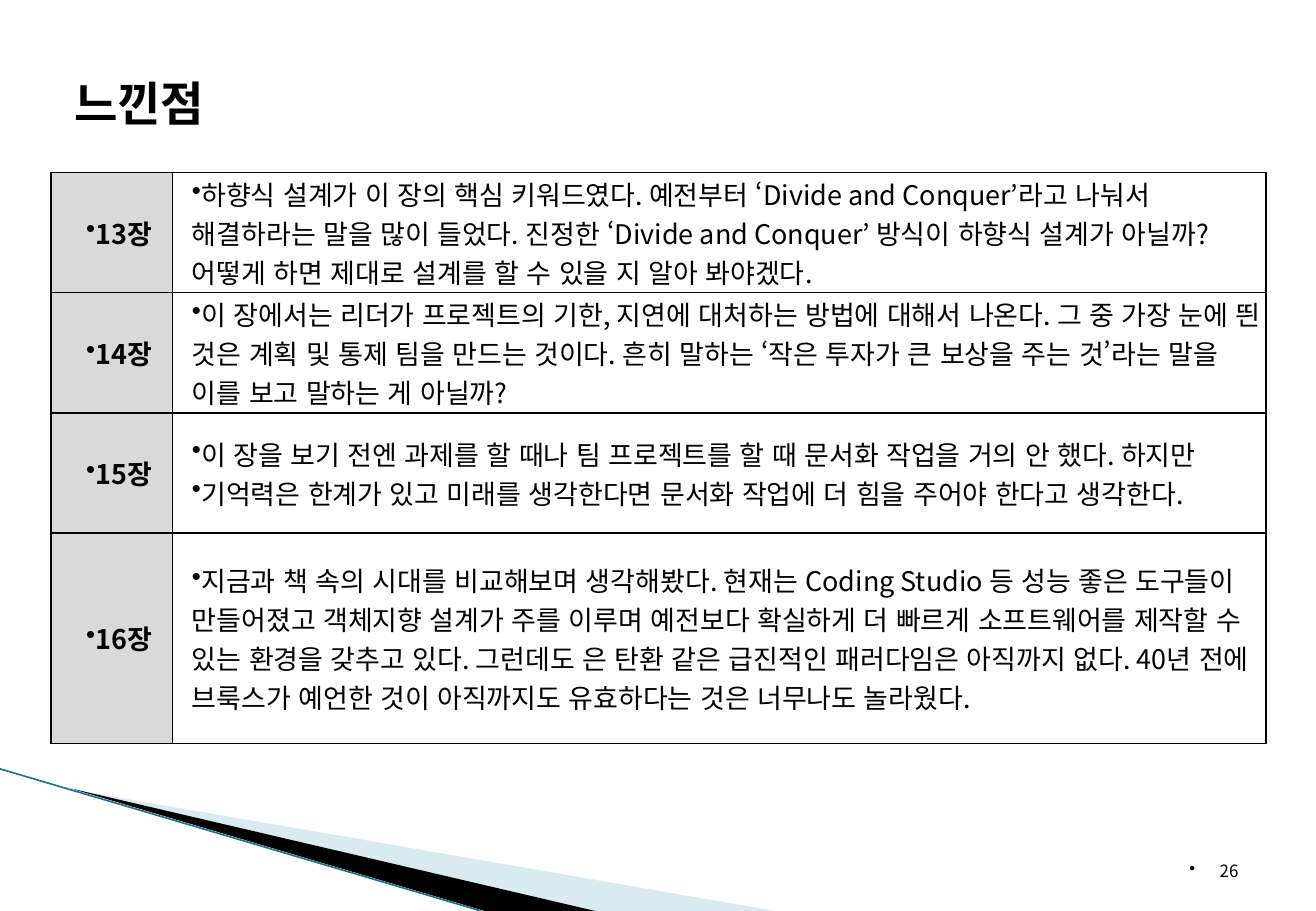
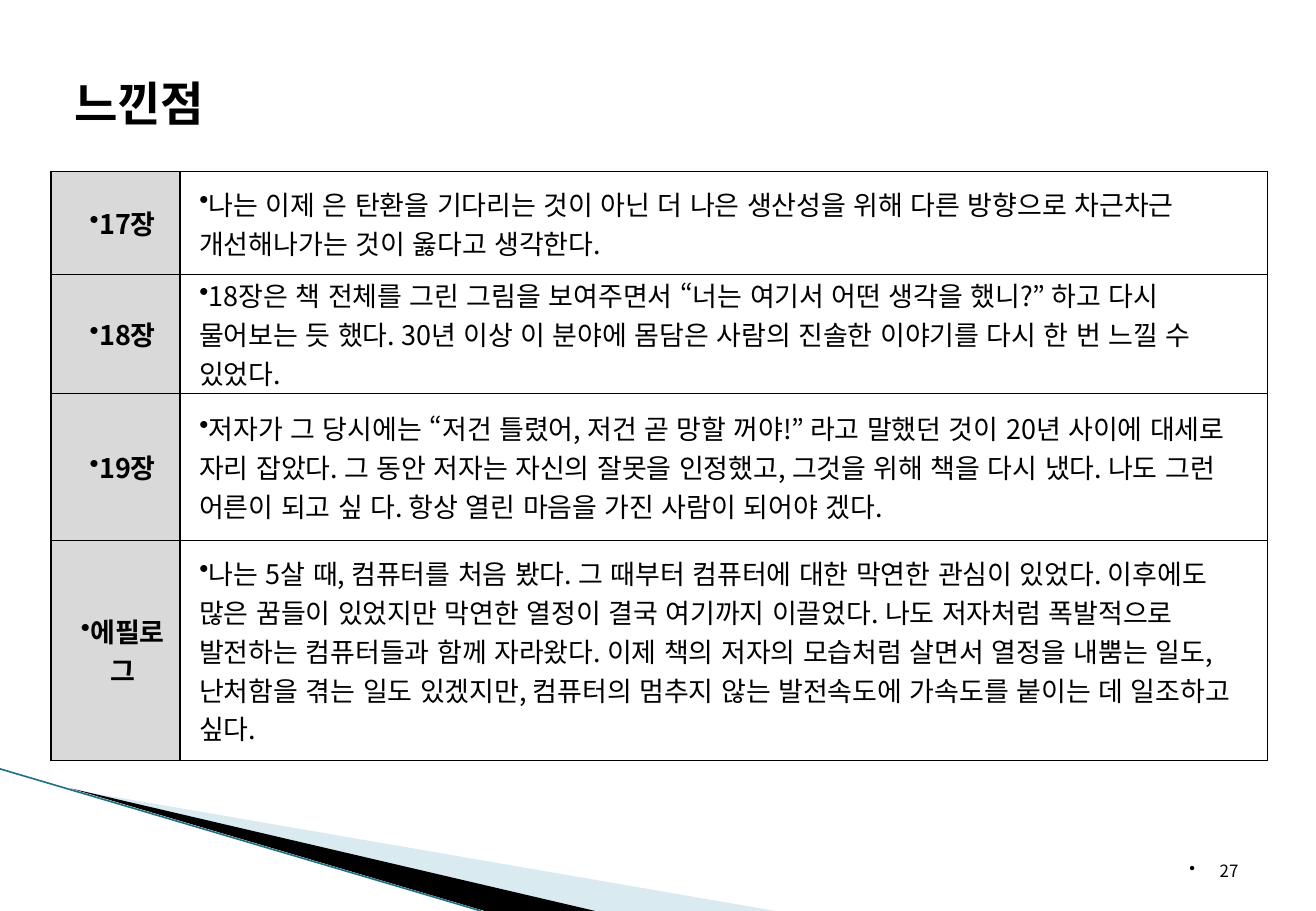
from dataclasses import dataclass

from lxml.etree import SubElement
from pptx import Presentation
from pptx.dml.color import RGBColor
from pptx.enum.lang import MSO_LANGUAGE_ID
from pptx.enum.text import MSO_ANCHOR, PP_ALIGN
from pptx.oxml.ns import qn
from pptx.util import Inches, Pt


@dataclass(frozen=True)
class Theme:
    font: str = "Noto Sans CJK KR"
    ink: RGBColor = RGBColor(0, 0, 0)
    pale: RGBColor = RGBColor(0xA0, 0xCB, 0xDC)
    teal: RGBColor = RGBColor(0x1F, 0x71, 0x88)
    label: RGBColor = RGBColor(0xD9, 0xD9, 0xD9)
    title: int = 28
    body: int = 16
    small: int = 10


theme = Theme()


def write(frame, text, size=theme.body, bold=False, align=PP_ALIGN.LEFT,
          left=0, indent=0, bullet=True):
    """Fill a frame, one paragraph a line; left and indent are inches."""
    frame.text = text
    frame.word_wrap = True
    for para in frame.paragraphs:
        para.alignment = align
        if bullet:
            props = para._p.get_or_add_pPr()
            props.set("marL", str(Inches(left)))
            props.set("indent", str(Inches(indent)))
            SubElement(props, qn("a:buChar")).set("char", "•")
        for run in para.runs:
            font = run.font
            font.size, font.bold = Pt(size), bold
            font.color.rgb = theme.ink
            font.name = theme.font
            font.language_id = MSO_LANGUAGE_ID.KOREAN
            SubElement(font._element, qn("a:ea")).set("typeface", theme.font)


def border(cell):
    props = cell._tc.get_or_add_tcPr()
    for place, side in enumerate(("lnL", "lnR", "lnT", "lnB")):
        line = SubElement(props, qn(f"a:{side}"), w=str(Pt(1)))
        fill = SubElement(line, qn("a:solidFill"))
        SubElement(fill, qn("a:srgbClr"), val=str(theme.ink))
        props.insert(place, line)


pages = [
    dict(number="26", top=1.42, cols=(1, 9), rows=(0.99, 0.99, 0.99, 1.73), notes=[
        ("13장", "하향식 설계가 이 장의 핵심 키워드였다. 예전부터 ‘Divide and Conquer’라고 나눠서 "
                "해결하라는 말을 많이 들었다. 진정한 ‘Divide and Conquer’ 방식이 하향식 설계가 아닐까? "
                "어떻게 하면 제대로 설계를 할 수 있을 지 알아 봐야겠다."),
        ("14장", "이 장에서는 리더가 프로젝트의 기한, 지연에 대처하는 방법에 대해서 나온다. 그 중 가장 눈에 "
                "띈 것은 계획 및 통제 팀을 만드는 것이다. 흔히 말하는 ‘작은 투자가 큰 보상을 주는 것’라는 "
                "말을 이를 보고 말하는 게 아닐까?"),
        ("15장", "이 장을 보기 전엔 과제를 할 때나 팀 프로젝트를 할 때 문서화 작업을 거의 안 했다. 하지만\n"
                "기억력은 한계가 있고 미래를 생각한다면 문서화 작업에 더 힘을 주어야 한다고 생각한다."),
        ("16장", "지금과 책 속의 시대를 비교해보며 생각해봤다. 현재는 Coding Studio 등 성능 좋은 도구들이 "
                "만들어졌고 객체지향 설계가 주를 이루며 예전보다 확실하게 더 빠르게 소프트웨어를 제작할 수 "
                "있는 환경을 갖추고 있다. 그런데도 은 탄환 같은 급진적인 패러다임은 아직까지 없다. 40년 "
                "전에 브룩스가 예언한 것이 아직까지도 유효하다는 것은 너무나도 놀라웠다."),
    ]),
    dict(number="27", top=1.41, cols=(1.06, 8.95), rows=(0.85, 0.98, 1.21, 1.81), notes=[
        ("17장", "나는 이제 은 탄환을 기다리는 것이 아닌 더 나은 생산성을 위해 다른 방향으로 차근차근 "
                "개선해나가는 것이 옳다고 생각한다."),
        ("18장", "18장은 책 전체를 그린 그림을 보여주면서 “너는 여기서 어떤 생각을 했니?” 하고 다시 "
                "물어보는 듯 했다. 30년 이상 이 분야에 몸담은 사람의 진솔한 이야기를 다시 한 번 느낄 수 "
                "있었다."),
        ("19장", "저자가 그 당시에는 “저건 틀렸어, 저건 곧 망할 꺼야!” 라고 말했던 것이 20년 사이에 "
                "대세로 자리 잡았다. 그 동안 저자는 자신의 잘못을 인정했고, 그것을 위해 책을 다시 냈다. "
                "나도 그런 어른이 되고 싶 다. 항상 열린 마음을 가진 사람이 되어야 겠다."),
        ("에필로그", "나는 5살 때, 컴퓨터를 처음 봤다. 그 때부터 컴퓨터에 대한 막연한 관심이 있었다. "
                 "이후에도 많은 꿈들이 있었지만 막연한 열정이 결국 여기까지 이끌었다. 나도 저자처럼 "
                 "폭발적으로 발전하는 컴퓨터들과 함께 자라왔다. 이제 책의 저자의 모습처럼 살면서 열정을 "
                 "내뿜는 일도, 난처함을 겪는 일도 있겠지만, 컴퓨터의 멈추지 않는 발전속도에 가속도를 "
                 "붙이는 데 일조하고 싶다."),
    ]),
]

deck = Presentation()
deck.slide_width, deck.slide_height = Inches(10.83), Inches(7.5)
layout = deck.slide_layouts[5]
head = layout.placeholders[0]
head.left, head.top = Inches(0.42), Inches(0.01)
head.width, head.height = Inches(10), Inches(1.67)
slides = [deck.slides.add_slide(layout) for page in pages]

# The corner bands are drawn once, then moved to the layout.
shapes = slides[0].shapes
bands = []
for points, color in (
    (((0.59, 6.5), (6.38, 7.5), (4.9, 7.5)), theme.pale),
    (((0.58, 6.49), (4.9, 7.5), (3.99, 7.5)), theme.ink),
):
    spots = [(Inches(x), Inches(y)) for x, y in points]
    pen = shapes.build_freeform(*spots[0])
    pen.add_line_segments(spots[1:])
    band = pen.convert_to_shape()
    band.shadow.inherit = False
    band.fill.solid()
    band.fill.fore_color.rgb = color
    band.line.fill.background()
    bands.append(band)
tint = bands[0]._element.spPr.find(f".//{qn('a:srgbClr')}")
SubElement(tint, qn("a:alpha")).set("val", "40000")

edge = shapes.add_connector(1, 0, Inches(6.33), Inches(3.96), Inches(7.5))
edge.line.color.rgb, edge.line.width = theme.teal, Pt(0.95)
SubElement(edge._element.spPr, qn("a:effectLst"))
for place, shape in enumerate((*bands, edge)):
    shape._element.xpath(".//p:cNvPr")[0].set("id", str(20 + place))
    layout.shapes.element.insert(2 + place, shape._element)

for slide, page in zip(slides, pages):
    title = slide.shapes.title.text_frame
    title.margin_left = Inches(0.19)
    title.vertical_anchor = MSO_ANCHOR.MIDDLE
    write(title, "느낀점", size=theme.title, bold=True, bullet=False)

    foot = slide.shapes.add_textbox(Inches(7.76), Inches(6.78), Inches(2.53), Inches(0.52))
    foot.text_frame.vertical_anchor = MSO_ANCHOR.BOTTOM
    write(foot.text_frame, page["number"], size=theme.small,
          align=PP_ALIGN.RIGHT, left=0.25, indent=-0.25)

    cols, rows = page["cols"], page["rows"]
    table = slide.shapes.add_table(
        len(rows), len(cols), Inches(0.42), Inches(page["top"]),
        Inches(sum(cols)), Inches(sum(rows))).table
    table.first_row = table.horz_banding = False
    for col, width in zip(table.columns, cols):
        col.width = Inches(width)
    for row, height, texts in zip(table.rows, rows, page["notes"]):
        row.height = Inches(height)
        for cell, text in zip(row.cells, texts):
            label = text == texts[0]
            cell.margin_left = cell.margin_right = Inches(0.04)
            cell.margin_top = cell.margin_bottom = Inches(0.01)
            cell.vertical_anchor = MSO_ANCHOR.MIDDLE
            if label:
                cell.fill.solid()
                cell.fill.fore_color.rgb = theme.label
            else:
                cell.fill.background()
            border(cell)
            write(cell.text_frame, text, bold=label, left=0.12,
                  align=PP_ALIGN.CENTER if label else PP_ALIGN.LEFT)

deck.save("out.pptx")
